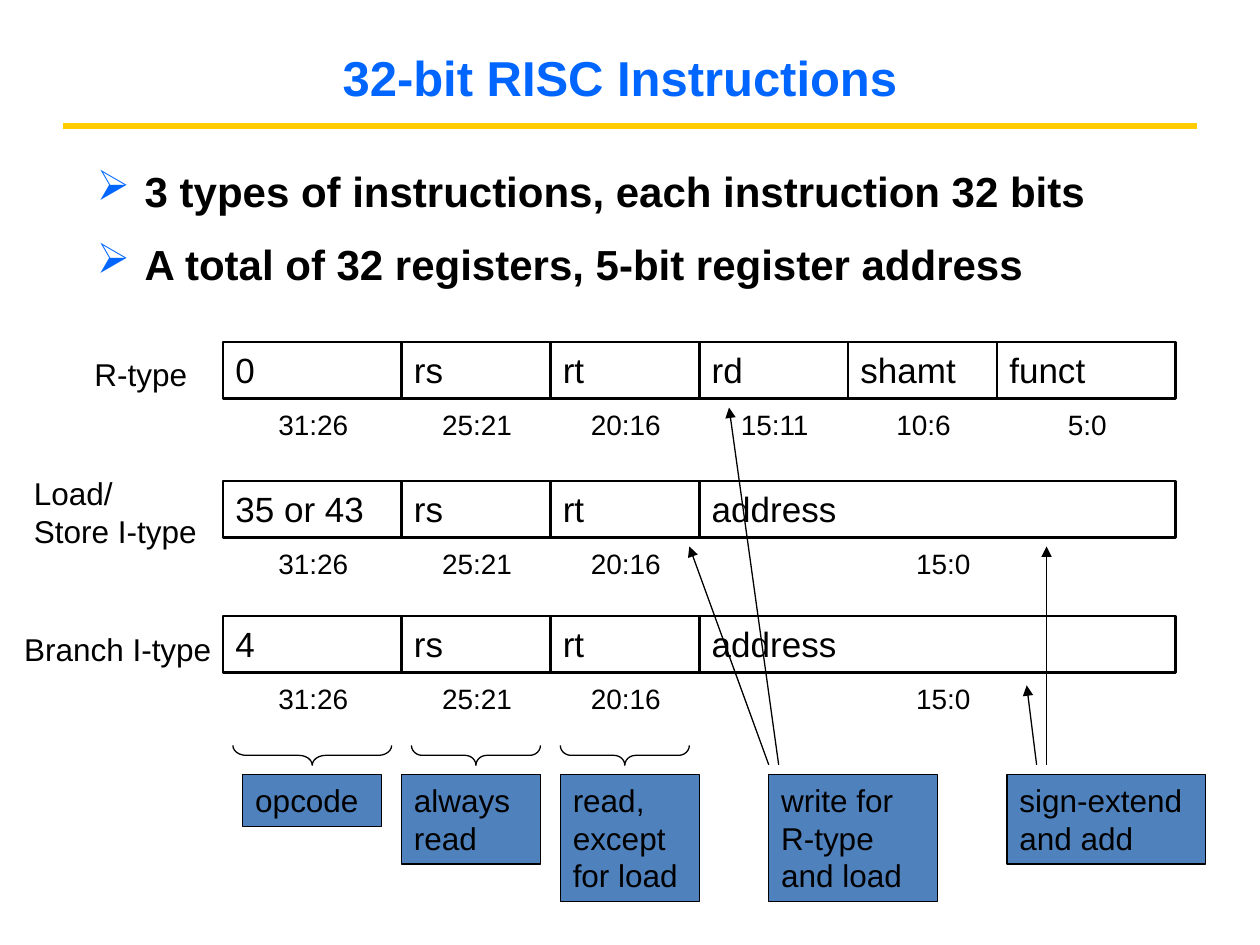
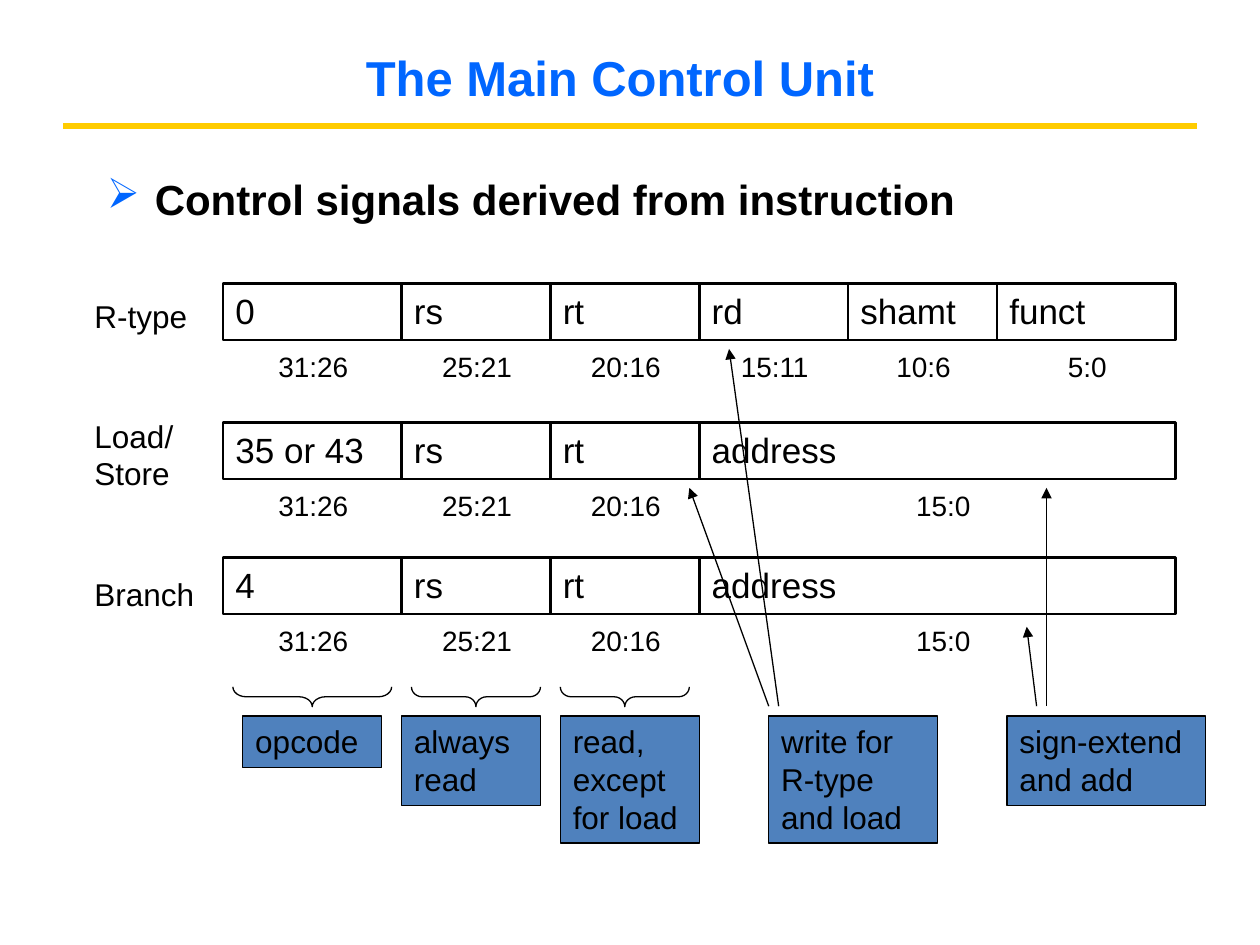
import dataclasses

import pptx
import pptx.util
import pptx.dml.color
import pptx.enum.shapes
import pptx.enum.text
import pptx.oxml
import pptx.oxml.ns
from lxml import etree

Inches = pptx.util.Inches
Pt = pptx.util.Pt
Preset = pptx.enum.shapes.MSO_SHAPE
AutoSize = pptx.enum.text.MSO_AUTO_SIZE
Align = pptx.enum.text.PP_ALIGN
Anchor = pptx.enum.text.MSO_ANCHOR
qn = pptx.oxml.ns.qn

WIDTH, HEIGHT = 10, 7.5


@dataclasses.dataclass(frozen=True)
class Theme:
    font: str = "Arial"
    ink: str = "000000"
    title: str = "0066FF"
    rule: str = "FFCC00"
    callout: str = "4F81BD"
    title_size: int = 28
    bullet_size: int = 24
    field_size: int = 20
    note_size: int = 18
    bits_size: int = 16
    rule_line: float = 3
    field_line: float = 1.5
    thin_line: float = 0.75


THEME = Theme()


@dataclasses.dataclass(frozen=True)
class Grid:
    """Square grid: 3 columns to a bit, 96 columns to a 32-bit word."""
    left: float
    top: float
    unit: float

    def point(self, column, row):
        return (Inches(self.left + column * self.unit),
                Inches(self.top + row * self.unit))

    def box(self, column, row, columns, rows):
        return (*self.point(column, row),
                Inches(columns * self.unit), Inches(rows * self.unit))


def share(left, top, width, height):
    return (Inches(left * WIDTH), Inches(top * HEIGHT),
            Inches(width * WIDTH), Inches(height * HEIGHT))


def color(value):
    return pptx.dml.color.RGBColor.from_string(value)


# ---- Shared drawing helpers ----
def add_run(paragraph, text, size, ink=THEME.ink, bold=False):
    run = paragraph.add_run()
    run.text = text
    run.font.name = THEME.font
    run.font.size = Pt(size)
    run.font.bold = bold
    run.font.color.rgb = color(ink)


def write(shape, text, size, align=Align.LEFT, wrap=True):
    frame = shape.text_frame
    frame.word_wrap = wrap
    frame.auto_size = AutoSize.SHAPE_TO_FIT_TEXT
    frame.vertical_anchor = Anchor.TOP
    paragraph = frame.paragraphs[0]
    paragraph.alignment = align
    for index, line in enumerate(text.split("\n")):
        if index:
            paragraph.add_line_break()
        add_run(paragraph, line, size)


def add_outlined(shapes, preset, box, weight, fill=None):
    shape = shapes.add_shape(preset, *box)
    shape.shadow.inherit = False
    shape.line.color.rgb = color(THEME.ink)
    shape.line.width = Pt(weight)
    if fill:
        shape.fill.solid()
        shape.fill.fore_color.rgb = color(fill)
    else:
        shape.fill.background()
    return shape


def add_line(shapes, start, end, ink, weight, arrow=False):
    connector = shapes.add_connector(
        pptx.enum.shapes.MSO_CONNECTOR.STRAIGHT, *start, *end)
    connector.line.color.rgb = color(ink)
    connector.line.width = Pt(weight)
    properties = connector.element.spPr
    if arrow:
        head = etree.SubElement(properties.find(qn("a:ln")), qn("a:tailEnd"))
        head.set("type", "triangle")
    etree.SubElement(properties, qn("a:effectLst"))


# ---- Title and rule ----
def add_header(slide, text):
    add_line(slide.shapes, *[(Inches(x), Inches(1)) for x in (0.5, 9.5)],
             THEME.rule, THEME.rule_line)
    title = slide.shapes.title
    title.left, title.top, title.width, title.height = share(
        0.017, 0.04, 0.95, 0.083)
    frame = title.text_frame
    frame.auto_size = AutoSize.NONE
    frame.vertical_anchor = Anchor.MIDDLE
    frame.paragraphs[0].alignment = Align.CENTER
    add_run(frame.paragraphs[0], text, THEME.title_size, THEME.title, True)


# ---- Bulleted statements ----
def add_bullets(slide, box, lines):
    frame = slide.shapes.add_textbox(*box).text_frame
    frame.word_wrap = True
    for index, line in enumerate(lines):
        paragraph = frame.add_paragraph() if index else frame.paragraphs[0]
        paragraph.line_spacing = 1.25
        paragraph.space_before = Pt(6)
        properties = paragraph._p.get_or_add_pPr()
        properties.set("marL", str(Inches(0.38)))
        properties.set("indent", str(-Inches(0.38)))
        bullet_color = etree.SubElement(properties, qn("a:buClr"))
        etree.SubElement(bullet_color, qn("a:srgbClr")).set("val", THEME.title)
        etree.SubElement(properties, qn("a:buChar")).set("char", "\u27a2")
        add_run(paragraph, line, THEME.bullet_size, bold=True)


# ---- Instruction formats: (name, highest bit, lowest bit) ----
REGISTERS = [("rs", 25, 21), ("rt", 20, 16)]
ADDRESS = ("address", 15, 0)
FORMATS = [
    (0, [("0", 31, 26), *REGISTERS,
         ("rd", 15, 11), ("shamt", 10, 6), ("funct", 5, 0)]),
    (14, [("35 or 43", 31, 26), *REGISTERS, ADDRESS]),
    (27.6, [("4", 31, 26), *REGISTERS, ADDRESS]),
]


def bit_span(high, low):
    """First column and number of columns of a bit range."""
    return 3 * (31 - high), 3 * (high - low + 1)


def add_format(slide, grid, row, fields):
    shapes = slide.shapes.add_group_shape().shapes
    for name, high, low in fields:
        column, columns = bit_span(high, low)
        cell = add_outlined(shapes, Preset.RECTANGLE,
                            grid.box(column, row, columns, 5.7),
                            THEME.field_line)
        write(cell, name, THEME.field_size)
        # Bit range, centred below its field
        bits = f"{high}:{low}"
        width = 1.75 + 1.57 * len(bits)
        nudge = 0.6 if name == "address" else 0.1
        left = column + (columns - width) / 2 + nudge
        label = shapes.add_textbox(*grid.box(left, row + 6, width, 4.7))
        write(label, bits, THEME.bits_size, Align.CENTER, wrap=False)


# ---- Braces, callouts and arrows below the formats ----
# text, first column, columns, lines of text
CALLOUTS = [
    ("opcode", 2, 14, 1),
    ("always read", 18, 14, 2),
    ("read, except for load", 34, 14, 3),
    ("write for R-type and load", 55, 17, 3),
    ("sign-extend and add", 79, 20, 2),
]
# start column, end column, end row
ARROWS = [(55, 47, 20.6), (56, 51, 6.6), (82, 81, 34.6), (83, 83, 20.6)]


def add_brace(slide, grid, high, low):
    column, columns = bit_span(high, low)
    span, depth = columns - 2, 2
    brace = add_outlined(
        slide.shapes, Preset.LEFT_BRACE,
        grid.box(column + (columns - depth) / 2, 41.65 - span / 2, depth, span),
        THEME.thin_line)
    brace.rotation = 270
    brace.adjustments[0] = span / 24
    brace.adjustments[1] = 0.5


def add_explanations(slide, grid):
    for high, low in [(31, 26), (25, 21), (20, 16)]:
        add_brace(slide, grid, high, low)
    for text, column, columns, lines in CALLOUTS:
        callout = add_outlined(
            slide.shapes, Preset.RECTANGLE,
            grid.box(column, 43.6, columns, 1.4 + 3.8 * lines),
            THEME.thin_line, THEME.callout)
        write(callout, text, THEME.note_size)
    for start, end, row in ARROWS:
        add_line(slide.shapes, grid.point(start, 42.6), grid.point(end, row),
                 THEME.ink, THEME.thin_line, arrow=True)


def add_diagram(slide, grid, labels):
    for row, fields in FORMATS:
        add_format(slide, grid, row, fields)
    for text, *box in labels:
        label = slide.shapes.add_textbox(*grid.box(*box))
        write(label, text, THEME.note_size, wrap=False)
    add_explanations(slide, grid)


def add_instruction_slide(presentation, title, bullets, bullet_box,
                          diagram_top, labels):
    slide = presentation.slides.add_slide(presentation.slide_layouts[5])
    add_header(slide, title)
    add_bullets(slide, share(*bullet_box), bullets)
    grid = Grid(0.177 * WIDTH, diagram_top * HEIGHT, 0.756 * WIDTH / 96)
    add_diagram(slide, grid, labels)


# ---- Slides ----
presentation = pptx.Presentation()
presentation.slide_width = Inches(WIDTH)
presentation.slide_height = Inches(HEIGHT)

add_instruction_slide(
    presentation, "32-bit RISC Instructions",
    ["3 types of instructions, each instruction 32 bits",
     "A total of 32 registers, 5-bit register address"],
    (0.067, 0.155, 0.905, 0.143), 0.362,
    [("R-type", -14.2, 0.7, 12, 5.1),
     ("Load/\nStore I-type", -20.3, 12.7, 19.2, 9),
     ("Branch I-type", -21.3, 28.4, 21.6, 5.1)])

add_instruction_slide(
    presentation, "The Main Control Unit",
    ["Control signals derived from instruction"],
    (0.075, 0.164, 0.905, 0.101), 0.3,
    [("R-type", -14.2, 0.7, 12, 5.1),
     ("Load/\nStore", -14.2, 12.8, 10.5, 9),
     ("Branch", -14.2, 28.8, 12.6, 5.1)])

presentation.save("out.pptx")
